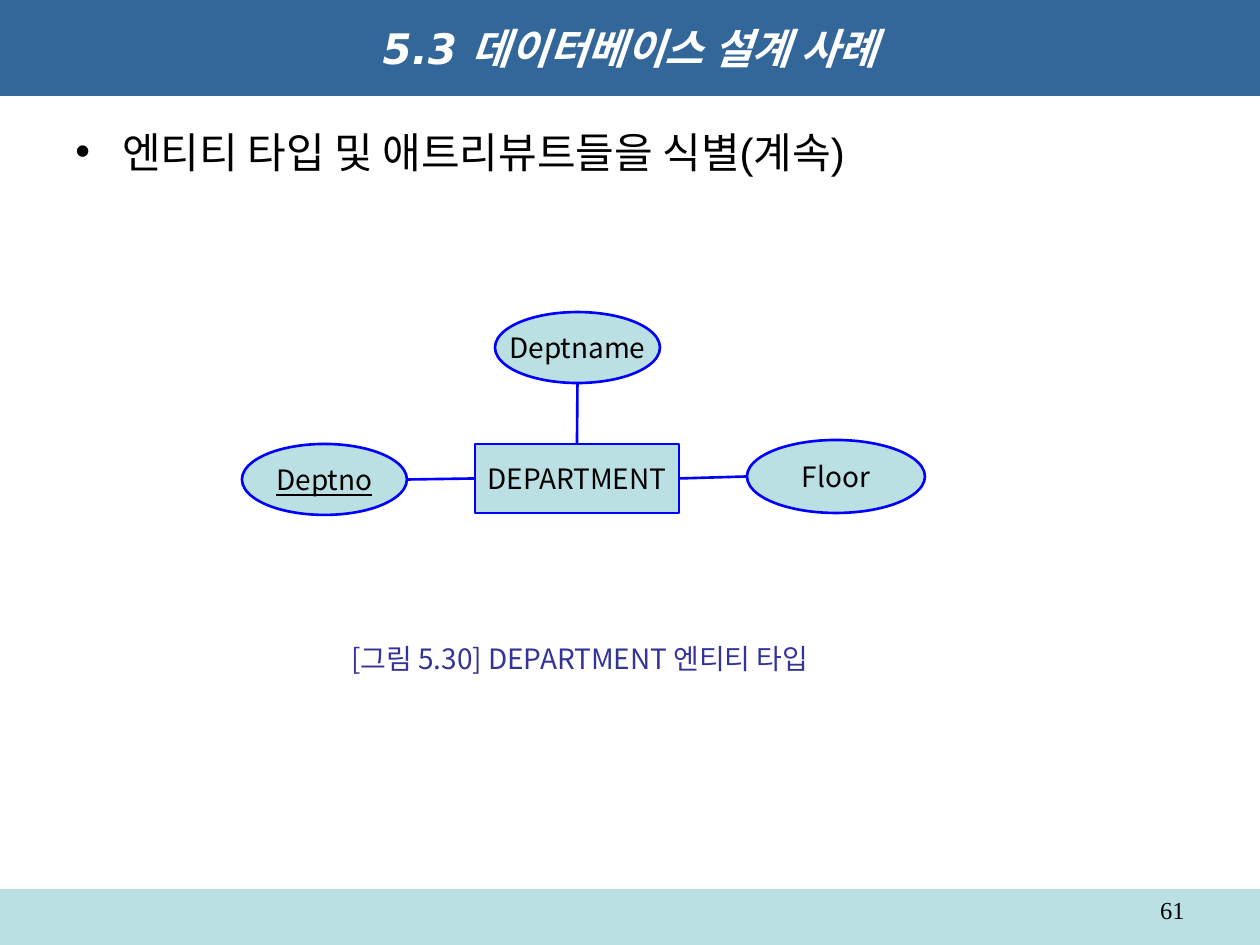
from lxml import etree
from pptx import Presentation
from pptx import util as u
from pptx.dml.color import RGBColor
from pptx.enum import shapes, text
from pptx.oxml.ns import qn

SCALE = 914400 / 126
SLIDE_SIZE = (1260, 945)
BLUE, PALE = "0000FF", "BBE0E3"
KOREAN, NODE_FONT = "Noto Sans CJK KR", "Noto Sans CJK JP"

TITLE = "5.3 데이터베이스 설계 사례"
BULLET = "엔티티 타입 및 애트리뷰트들을 식별(계속)"
CAPTION = "[그림 5.30] DEPARTMENT 엔티티 타입"
PAGE_NUMBER = "61"
ENTITY = ("DEPARTMENT", (475, 444, 204, 69))
ATTRIBUTES = [
    ("Deptname", (495, 312, 165, 71), False, "above"),
    ("Floor", (747, 440, 178, 73), False, "right"),
    ("Deptno", (242, 444, 165, 71), True, "left"),
]
ENTITY_SITES = {"above": 0, "left": 1, "right": 3}


def px(value):
    return u.Emu(round(value * SCALE))


def color(value):
    return RGBColor.from_string(value)


def write(shape, content, size, font, ink, align, anchor, wrap=True, **style):
    frame = shape.text_frame
    frame.auto_size = text.MSO_AUTO_SIZE.NONE
    frame.word_wrap = wrap
    frame.vertical_anchor = anchor
    paragraph = frame.paragraphs[0]
    paragraph.alignment = align
    run = paragraph.add_run()
    run.text = content
    run.font.size = u.Pt(size)
    run.font.name = font
    run.font.color.rgb = color(ink)
    for name, value in style.items():
        setattr(run.font, name, value)
    east_asian = etree.SubElement(run.font._element, qn("a:ea"))
    east_asian.set("typeface", KOREAN)
    return paragraph


def add_box(slide, kind, box, fill, line=None):
    shape = slide.shapes.add_shape(kind, *map(px, box))
    shape.shadow.inherit = False
    shape.fill.solid()
    shape.fill.fore_color.rgb = color(fill)
    if line:
        shape.line.color.rgb = color(line)
        shape.line.width = u.Pt(1.5)
    else:
        shape.line.fill.background()
    return shape


def add_node(slide, kind, label, box, underline=False):
    shape = add_box(slide, kind, box, PALE, BLUE)
    write(shape, label, 16, NODE_FONT, "000000", text.PP_ALIGN.CENTER,
          text.MSO_ANCHOR.MIDDLE, wrap=False, underline=underline)
    return shape


def add_text(slide, box, *args, **style):
    return write(slide.shapes.add_textbox(*map(px, box)), *args, **style)


def facing_point(box, side):
    left, top, width, height = box
    return {
        "above": (left + width / 2, top + height),
        "right": (left, top + height / 2),
        "left": (left + width, top + height / 2),
    }[side]


def join(slide, entity, box, side):
    x, y = map(px, facing_point(box, side))
    connector = slide.shapes.add_connector(shapes.MSO_CONNECTOR.STRAIGHT, x, y, x, y)
    connector.end_connect(entity, ENTITY_SITES[side])
    connector.line.color.rgb = color(BLUE)
    connector.line.width = u.Pt(1.5)
    etree.SubElement(connector._element.spPr, qn("a:effectLst"))


def main():
    presentation = Presentation()
    presentation.slide_width, presentation.slide_height = map(px, SLIDE_SIZE)
    slide = presentation.slides.add_slide(presentation.slide_layouts[5])
    align, anchor = text.PP_ALIGN, text.MSO_ANCHOR

    add_box(slide, shapes.MSO_SHAPE.RECTANGLE, (0, 889, 1260, 56), PALE)
    add_text(slide, (903, 889, 294, 37), PAGE_NUMBER, 14, "Times New Roman",
             "000000", align.RIGHT, anchor.TOP)

    title = slide.shapes.title
    title.left, title.top, title.width, title.height = map(px, (0, 0, 1260, 96))
    title.fill.solid()
    title.fill.fore_color.rgb = color("336699")
    write(title, TITLE, 24, "DejaVu Sans", "FFFFFF", align.CENTER, anchor.MIDDLE,
          bold=True, italic=True)

    paragraph = add_text(slide, (63, 120, 1134, 750), BULLET, 24, "Arial",
                         "000000", align.LEFT, anchor.TOP)
    properties = paragraph._p.get_or_add_pPr()
    properties.set("marL", str(px(47)))
    properties.set("indent", str(px(-47)))
    etree.SubElement(properties, qn("a:buFont")).set("typeface", "Arial")
    etree.SubElement(properties, qn("a:buChar")).set("char", "•")

    entity = add_node(slide, shapes.MSO_SHAPE.RECTANGLE, *ENTITY)
    for label, box, is_key, side in ATTRIBUTES:
        add_node(slide, shapes.MSO_SHAPE.OVAL, label, box, is_key)
        join(slide, entity, box, side)

    add_text(slide, (339, 635, 532, 47), CAPTION, 16, KOREAN, "333399",
             align.LEFT, anchor.MIDDLE, wrap=False)

    presentation.save("out.pptx")


if __name__ == "__main__":
    main()
